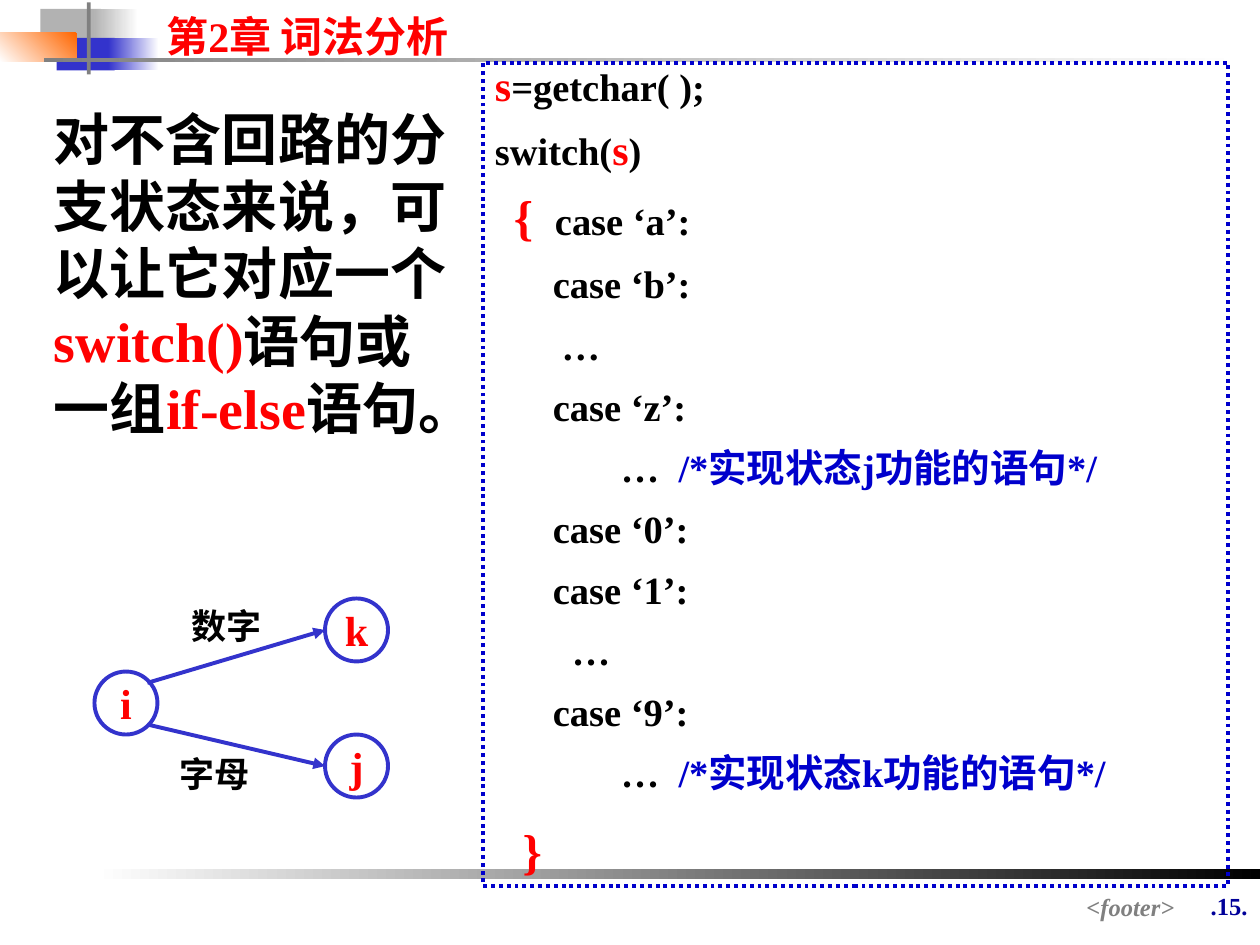
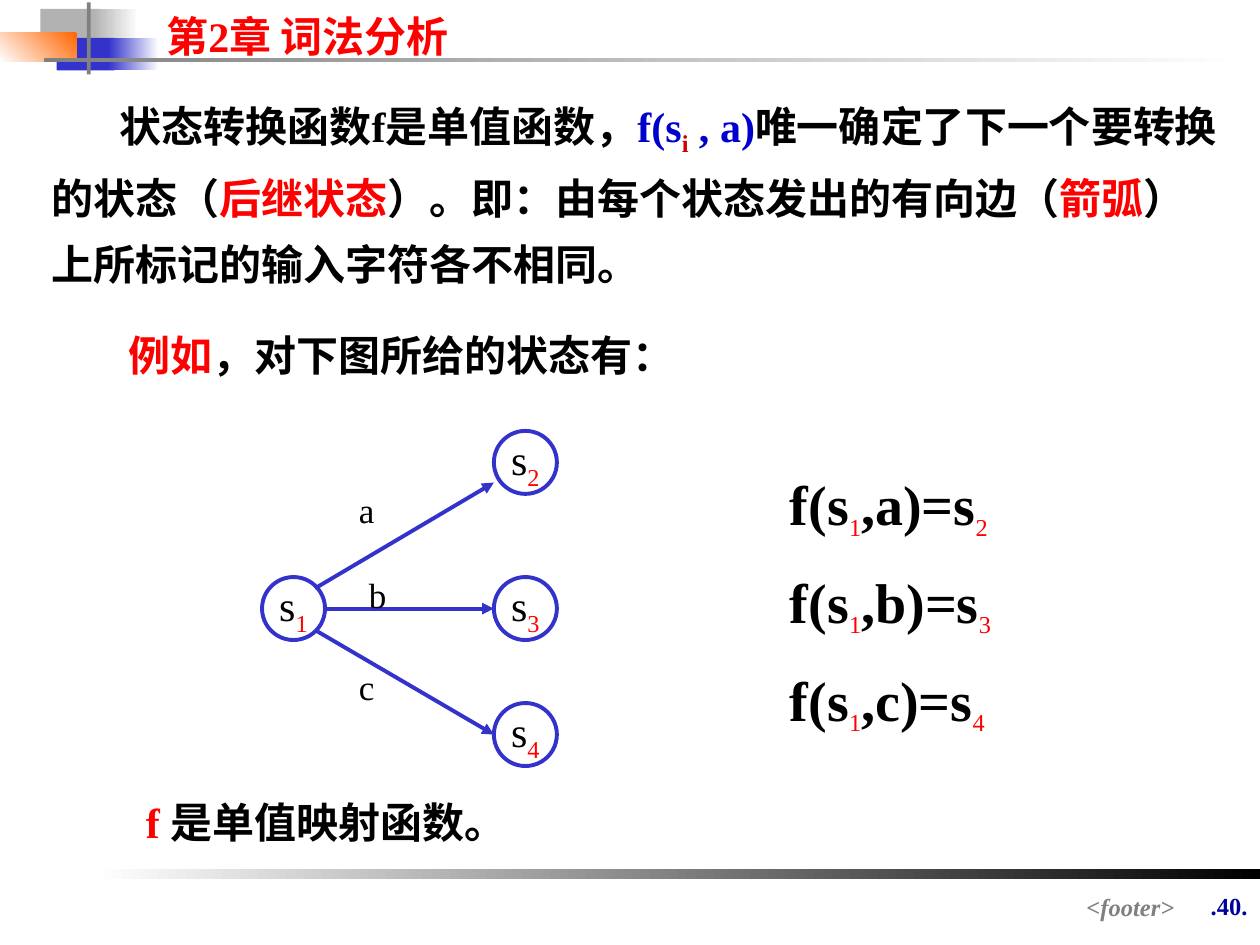
"""Build two lexical analysis slides: branch states in code and the transition function."""
import lxml.etree
import pptx
import pptx.dml.color
import pptx.enum.dml
import pptx.enum.lang
import pptx.enum.shapes
import pptx.enum.text
import pptx.oxml.ns
import pptx.util

Inches = pptx.util.Inches
Pt = pptx.util.Pt
ALIGN = pptx.enum.text.PP_ALIGN
ANCHOR = pptx.enum.text.MSO_ANCHOR
SHAPES = pptx.enum.shapes.MSO_SHAPE

COLORS = {name: pptx.dml.color.RGBColor.from_string(value) for name, value in {
    "black": "000000", "white": "FFFFFF", "red": "FF0000", "dark red": "CC0000",
    "blue": "0000CC", "line blue": "3333CC", "navy": "000099",
    "gray": "808080", "light gray": "B2B2B2", "orange": "FF6600",
}.items()}
BASE_FONT = {
    "name": "Times New Roman", "bold": True,
    "language_id": pptx.enum.lang.MSO_LANGUAGE_ID.SIMPLIFIED_CHINESE,
}
SUBSCRIPT = {"baseline": -25000}


def write_text(shape, paragraphs, size, anchor=ANCHOR.TOP, wrap=True, **shared):
    """Fill a shape with paragraphs given as (paragraph formats, runs)."""
    frame = shape.text_frame
    frame_format = {
        "word_wrap": wrap, "vertical_anchor": anchor,
        "auto_size": pptx.enum.text.MSO_AUTO_SIZE.NONE,
        "margin_left": Inches(0.1), "margin_right": Inches(0.1),
        "margin_top": Inches(0.05), "margin_bottom": Inches(0.05),
    }
    for name, value in frame_format.items():
        setattr(frame, name, value)
    for index, (paragraph_format, runs) in enumerate(paragraphs):
        paragraph = frame.add_paragraph() if index else frame.paragraphs[0]
        settings = {"alignment": ALIGN.LEFT, **paragraph_format}
        indent = settings.pop("indent", 0)
        paragraph._p.get_or_add_pPr().set("indent", str(Inches(indent)))
        for name, value in settings.items():
            setattr(paragraph, name, value)
        for text, color, *changes in runs:
            run = paragraph.add_run()
            run.text = text
            font_format = {**BASE_FONT, "size": Pt(size), **shared}
            for change in changes:
                font_format.update(change)
            baseline = font_format.pop("baseline", None)
            for name, value in font_format.items():
                setattr(run.font, name, value)
            run.font.color.rgb = COLORS[color]
            if baseline:
                run._r.get_or_add_rPr().set("baseline", str(baseline))


def add_box(slide, box, kind=None):
    """Add a text box, or a plain unfilled shape of the given kind."""
    lengths = [Inches(value) for value in box]
    if kind is None:
        return slide.shapes.add_textbox(*lengths)
    shape = slide.shapes.add_shape(kind, *lengths)
    shape.shadow.inherit = False
    shape.fill.background()
    shape.line.fill.background()
    return shape


presentation = pptx.Presentation()
presentation.slide_width = Inches(10)
presentation.slide_height = Inches(7.5)

bands = [
    ((0.32, 0.07, 0.48, 0.26), ["light gray"], 0),
    ((0.74, 0.07, 0.36, 0.26), ["white", "light gray"], 180),
    ((0.45, 0.3, 0.46, 0.26), ["line blue"], 0),
    ((0.86, 0.3, 0.4, 0.26), ["white", "line blue"], 180),
    ((0, 0.26, 0.61, 0.23), ["orange", "white"], 225),
    ((0.69, 0.02, 0.03, 0.57), ["gray"], 0),
    ((0.35, 0.46, 9.51, 0.03), ["white", "gray"], 180),
    ((0.75, 6.9, 9.25, 0.08), ["black", "white"], 180),
]
right = {"alignment": ALIGN.RIGHT}
slides = []
for number in (".15.", ".40."):
    slide = presentation.slides.add_slide(presentation.slide_layouts[5])
    slides.append(slide)
    for box, names, angle in bands:
        band = add_box(slide, box, SHAPES.RECTANGLE)
        if len(names) == 1:
            band.fill.solid()
            band.fill.fore_color.rgb = COLORS[names[0]]
        else:
            band.fill.gradient()
            band.fill.gradient_angle = angle
            for stop, name in zip(band.fill.gradient_stops, names):
                stop.color.rgb = COLORS[name]
    title = slide.shapes.title
    for name, value in zip(("left", "top", "width", "height"), (1.22, 0.03, 3.15, 0.5)):
        setattr(title, name, Inches(value))
    write_text(title, [({}, [("第2章 词法分析", "red")])], 24)
    write_text(add_box(slide, (9.33, 7.02, 0.67, 0.57)), [(right, [(number, "navy")])], 14)
    write_text(add_box(slide, (2.64, 7.03, 6.78, 0.26)),
               [(right, [("<footer>", "gray")])], 14, italic=True)

branch_slide, function_slide = slides

write_text(add_box(branch_slide, (0.33, 0.78, 3.42, 3.3)), [({"space_before": Pt(20)}, [
    ("对不含回路的分支状态来说，可以让它对应一个", "black"), ("switch()", "red"),
    ("语句或一组", "black"), ("if-else", "red"), ("语句。", "black"),
])], 32)

large, brace = {"size": Pt(24)}, {"size": Pt(28)}
code_lines = [
    (0, [("s", "red", large), ("=getchar( );", "black")]),
    (0, [("switch(", "black"), ("s", "red", large), (")", "black")]),
    (0.15, [("{ ", "red", brace), (" case ‘a’:", "black")]),
    (0.46, [("case ‘b’:", "black")]),
    (0.53, [("…", "black")]),
    (0.46, [("case ‘z’:", "black")]),
    (1, [("… ", "black"), (" /*实现状态j功能的语句*/", "blue")]),
    (0.46, [("case ‘0’:", "black")]),
    (0.46, [("case ‘1’:", "black")]),
    (0.61, [("…", "black")]),
    (0.46, [("case ‘9’:", "black")]),
    (1, [("… ", "black"), (" /*实现状态k功能的语句*/", "blue")]),
    (0.22, [("}", "red", brace)]),
]
code_paragraphs = [
    ({"indent": indent, "line_spacing": 0.8, "space_before": Pt(13.8)}, runs)
    for indent, runs in code_lines
]
code_paragraphs[-1][0]["space_before"] = Pt(21)
code_box = add_box(branch_slide, (3.83, 0.5, 5.92, 6.53), SHAPES.RECTANGLE)
code_box.line.color.rgb = COLORS["blue"]
code_box.line.width = Pt(2.25)
code_box.line.dash_style = pptx.enum.dml.MSO_LINE.ROUND_DOT
write_text(code_box, code_paragraphs, 22)

loose = {"line_spacing": 1.3, "space_before": Pt(15)}
write_text(add_box(function_slide, (0.31, 0.61, 9.49, 2.46)), [
    ({**loose, "indent": 0.54}, [
        ("状态转换函数f是单值函数，", "black"), ("f(s", "blue"),
        ("i", "dark red", SUBSCRIPT), (" , a)", "blue"),
        ("唯一确定了下一个要转换的状态（", "black"), ("后继状态", "red"),
        ("）。即：由每个状态发出的有向边（", "black"), ("箭弧", "red"),
        ("）上所标记的输入字符各不相同。", "black"),
    ]),
    ({**loose, "indent": 0.61}, [("例如", "red"), ("，对下图所给的状态有：", "black")]),
], 24)

index_font = {"size": Pt(24), "bold": False, **SUBSCRIPT}
write_text(add_box(function_slide, (6.17, 3.68, 3.08, 2.22)), [
    ({"space_before": Pt(15)}, [
        ("f(s", "black"), ("1", "red", index_font),
        (f",{letter})=s", "black"), (target, "red", index_font),
    ]) for letter, target in zip("abc", "234")
], 32)
write_text(add_box(function_slide, (1.06, 6.27, 7.33, 0.5)), [
    ({"space_before": Pt(15)}, [("f ", "red"), ("是单值映射函数。", "black")]),
], 24)

diagrams = [
    {
        "slide": branch_slide, "bold": True,
        "states": [
            (left, top, [(name, "red")])
            for left, top, name in [(0.75, 5.33, "i"), (2.58, 4.75, "k"), (2.58, 5.83, "j")]
        ],
        "arrows": [(1.17, 5.42, 2.58, 5), (1.17, 5.75, 2.58, 6.08)],
        "labels": [(1.42, 4.75, "数字"), (1.33, 5.92, "字母")],
    },
    {
        "slide": function_slide, "bold": False,
        "states": [
            (left, top, [("s", "black"), (digit, "red", SUBSCRIPT)])
            for left, top, digit in [
                (2.08, 4.58, "1"), (3.92, 3.42, "2"), (3.92, 4.58, "3"), (3.92, 5.58, "4")]
        ],
        "arrows": [(2.5, 4.67, 3.92, 3.83), (2.58, 4.83, 3.92, 4.83), (2.5, 5, 3.92, 5.83)],
        "labels": [(2.75, 3.83, "a"), (2.83, 4.5, "b"), (2.75, 5.23, "c")],
    },
]
for diagram in diagrams:
    slide, bold = diagram["slide"], diagram["bold"]
    for left, top, runs in diagram["states"]:
        state = add_box(slide, (left, top, 0.5, 0.5), SHAPES.OVAL)
        state.line.color.rgb = COLORS["line blue"]
        state.line.width = Pt(2.25)
        write_text(state, [({"alignment": ALIGN.CENTER}, runs)], 24,
                   ANCHOR.MIDDLE, False, bold=bold)
    for ends in diagram["arrows"]:
        arrow = slide.shapes.add_connector(
            pptx.enum.shapes.MSO_CONNECTOR.STRAIGHT, *[Inches(value) for value in ends])
        arrow.line.color.rgb = COLORS["line blue"]
        arrow.line.width = Pt(2.25)
        lxml.etree.SubElement(
            arrow.get_or_add_ln(), pptx.oxml.ns.qn("a:tailEnd"), type="triangle")
        lxml.etree.SubElement(arrow._element.spPr, pptx.oxml.ns.qn("a:effectLst"))
    for left, top, text in diagram["labels"]:
        write_text(add_box(slide, (left, top, 0.92, 0.44)),
                   [({"space_before": Pt(12.5)}, [(text, "black")])], 20, bold=bold)

presentation.save("out.pptx")
